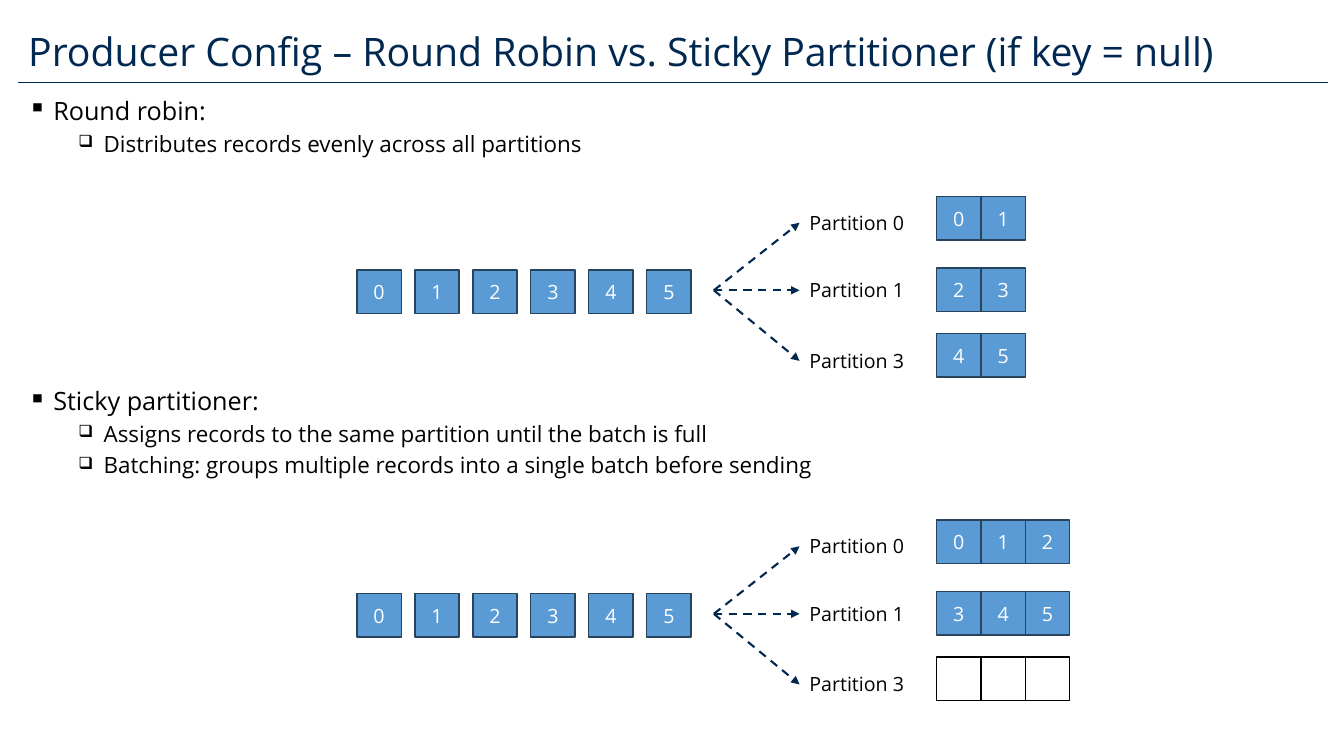
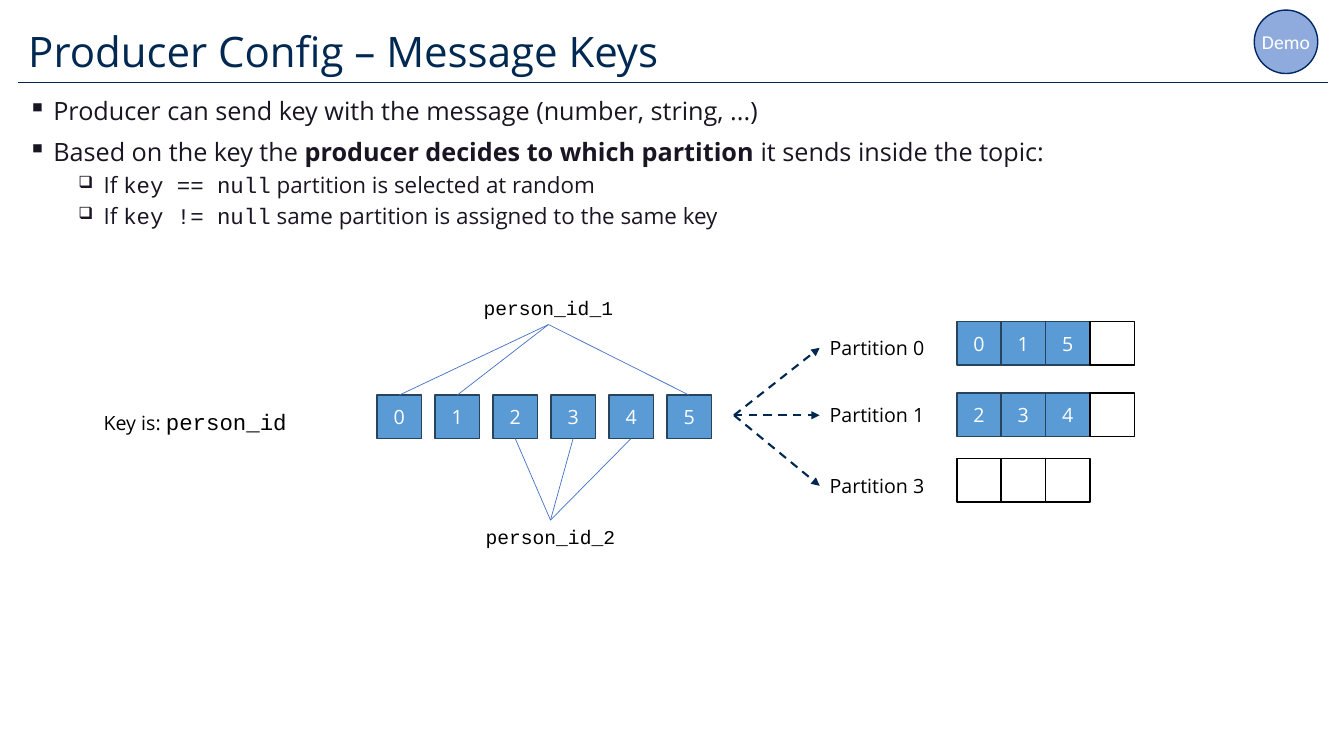
from dataclasses import dataclass

from lxml.etree import SubElement
from pptx import Presentation
from pptx.dml.color import RGBColor
from pptx.enum.dml import MSO_LINE
from pptx.enum.shapes import MSO_CONNECTOR, MSO_SHAPE
from pptx.enum.text import MSO_ANCHOR, MSO_AUTO_SIZE, PP_ALIGN
from pptx.oxml.ns import qn
from pptx.util import Inches, Pt


@dataclass(frozen=True)
class Theme:
    navy: str = "012851"
    black: str = "000000"
    ink: str = "1A1523"
    white: str = "FFFFFF"
    cell: str = "5B9BD5"
    edge: str = "28445D"
    ray: str = "4472C4"
    badge: str = "8FAADC"
    rim: str = "012863"
    sans: str = "Open Sans"
    code: str = "Courier New"
    demo: str = "Calibri"
    small: int = 14
    sub: int = 16
    main: int = 18


T = Theme()
WIDE, HIGH = 13.33, 7.5
LEFT, SPAN = 0.18, 12.99
BOX_W, BOX_H, STEP = 0.44, 0.43, 0.575

# Horizontal and vertical offsets from the point where the arrows fork
QUEUE_X, QUEUE_Y = -3.54, -0.2
LABEL_X, CELL_X = 0.85, 2.21
LANES = [("Partition 0", -0.67, -0.93),
         ("Partition 1", 0, -0.22),
         ("Partition 3", 0.7, 0.43)]
QUEUE = "012345"

# Bullet sign, size in percent, left margin, space before, type size
LEVELS = [("▪", 100, 0.25, 10, T.main), ("❑", 75, 0.75, 5, T.sub)]

# Bullets are (level, runs); in a flow, each string is one lane of cells
SLIDES = [
    {"title": "Producer Config – Round Robin vs. Sticky Partitioner (if key = null)",
     "size": 28, "ink": T.black,
     "texts": [
         (0.93, 0.8, [
             (0, ["Round robin:"]),
             (1, ["Distributes records evenly across all partitions"])]),
         (3.81, 1.1, [
             (0, ["Sticky partitioner:"]),
             (1, ["Assigns records to the same partition until the batch is full"]),
             (1, ["Batching: groups multiple records into a single batch before sending"])])],
     "flows": [(7.08, 2.88, ["01", "23", "45"]),
               (7.08, 6.09, ["012", "345", "   "])]},
    {"title": "Producer Config – Message Keys",
     "size": 30, "ink": T.ink,
     "texts": [
         (0.93, 1.56, [
             (0, ["Producer can send key with the message (number, string, ...)"]),
             (0, ["Based on the key the ",
                  ("producer decides to which partition ", "bold"),
                  "it sends inside the topic:"]),
             (1, ["If ", ("key == null", "code"),
                  " partition is selected at random"]),
             (1, ["If ", ("key != null", "code"),
                  " same partition is assigned to the same key"])])],
     "flows": [(7.28, 4.12, ["015 ", "234 ", "   "])]},
]

# Name, label top, tip of the rays, whether they meet the box bottoms, records
KEYS = [("person_id_1", 2.89, (5.44, 3.22), False, [0, 1, 5]),
        ("person_id_2", 5.16, (5.46, 5.16), True, [2, 3, 4])]


def rgb(code):
    return RGBColor.from_string(code)


def style(font, size, color, name=T.sans):
    font.size, font.name = Pt(size), name
    font.color.rgb = rgb(color)


def line(slide, start, end, color, width, arrow=False):
    link = slide.shapes.add_connector(
        MSO_CONNECTOR.STRAIGHT, *(Inches(v) for v in (*start, *end)))
    link.line.color.rgb = rgb(color)
    link.line.width = Pt(width)
    if arrow:
        link.line.dash_style = MSO_LINE.DASH
        SubElement(link.line._get_or_add_ln(), qn("a:tailEnd"), type="triangle")
    SubElement(link._element.spPr, qn("a:effectLst"))


def block(slide, kind, x, y, w, h, fill, edge, text="", name=T.sans):
    shape = slide.shapes.add_shape(kind, *(Inches(v) for v in (x, y, w, h)))
    shape.shadow.inherit = False
    shape.fill.solid()
    shape.fill.fore_color.rgb = rgb(fill)
    shape.line.color.rgb = rgb(edge)
    shape.line.width = Pt(1)
    if text:
        frame = shape.text_frame
        frame.margin_left = frame.margin_right = 0
        frame.word_wrap = False
        frame.vertical_anchor = MSO_ANCHOR.MIDDLE
        para = frame.paragraphs[0]
        para.text, para.alignment = text, PP_ALIGN.CENTER
        style(para.font, T.small, T.white, name)


def cell(slide, x, y, text):
    fill, edge = (T.cell, T.edge) if text else (T.white, T.black)
    block(slide, MSO_SHAPE.RECTANGLE, x, y, BOX_W, BOX_H, fill, edge, text)


def frame_at(slide, x, y, w, h):
    frame = slide.shapes.add_textbox(*(Inches(v) for v in (x, y, w, h))).text_frame
    frame.word_wrap = True
    return frame


def label(slide, x, y, w, text, name=T.sans, align=PP_ALIGN.LEFT):
    para = frame_at(slide, x, y, w, 0.34).paragraphs[0]
    para.text, para.alignment = text, align
    style(para.font, T.small, T.black, name)
    return para


def head(slide, text, size):
    """Format the title and draw the rule below it."""
    title = slide.shapes.title
    title.left, title.top = Inches(LEFT), Inches(0.24)
    title.width, title.height = Inches(SPAN), Inches(0.58)
    frame = title.text_frame
    frame.auto_size = MSO_AUTO_SIZE.NONE
    frame.vertical_anchor = MSO_ANCHOR.MIDDLE
    para = frame.paragraphs[0]
    para.text, para.alignment, para.line_spacing = text, PP_ALIGN.LEFT, 0.9
    style(para.font, size, T.navy)
    line(slide, (LEFT, 0.82), (LEFT + SPAN, 0.82), T.navy, 0.5)


def bullets(slide, top, high, items, ink):
    frame = frame_at(slide, LEFT, top, SPAN, high)
    for i, (level, runs) in enumerate(items):
        sign, scale, margin, gap, size = LEVELS[level]
        para = frame.add_paragraph() if i else frame.paragraphs[0]
        para.level, para.line_spacing = level, 0.9
        para.space_before = Pt(gap if i else 0)
        props = para._p.get_or_add_pPr()
        props.set("marL", str(Inches(margin)))
        props.set("indent", str(Inches(-0.25)))
        SubElement(props, qn("a:buSzPct"), val=str(scale * 1000))
        SubElement(props, qn("a:buChar"), char=sign)
        style(para.font, size, ink)
        for part in runs:
            text, look = (part, "") if isinstance(part, str) else part
            run = para.add_run()
            run.text = text
            if look == "bold":
                run.font.bold = True
            elif look == "code":
                run.font.name = T.code


def flow(slide, x, y, lanes):
    """Draw the queue, the forking arrows and the partitions around (x, y)."""
    for i, mark in enumerate(QUEUE):
        cell(slide, x + QUEUE_X + i * STEP, y + QUEUE_Y, mark)
    for (name, drop, rise), marks in zip(LANES, lanes):
        line(slide, (x, y), (x + LABEL_X, y + drop), T.navy, 1.5, arrow=True)
        label(slide, x + LABEL_X, y + drop - 0.17, 1.33, name)
        for i, mark in enumerate(marks):
            cell(slide, x + CELL_X + i * BOX_W, y + rise, mark.strip())


def keys(slide, x, y):
    """Tie each key to its records in the queue that feeds the fork (x, y)."""
    for name, top, tip, below, picks in KEYS:
        label(slide, tip[0] - 0.77, top, 1.54, name, T.code, PP_ALIGN.CENTER)
        edge = y + QUEUE_Y + (BOX_H if below else 0)
        for i in picks:
            mid = x + QUEUE_X + i * STEP + BOX_W / 2
            line(slide, (mid, edge), tip, T.ray, 0.5)
    note = label(slide, 0.89, 4, 2.09, "Key is: ", align=PP_ALIGN.CENTER)
    run = note.add_run()
    run.text = "person_id"
    style(run.font, T.sub, T.black, T.code)


def main():
    deck = Presentation()
    deck.slide_width, deck.slide_height = Inches(WIDE), Inches(HIGH)
    for page in SLIDES:
        slide = deck.slides.add_slide(deck.slide_layouts[5])
        head(slide, page["title"], page["size"])
        for text in page["texts"]:
            bullets(slide, *text, page["ink"])
        for part in page["flows"]:
            flow(slide, *part)
    x, y, _ = SLIDES[-1]["flows"][0]
    keys(slide, x, y)
    block(slide, MSO_SHAPE.FLOWCHART_CONNECTOR, 12.44, 0.1, 0.63, 0.63,
          T.badge, T.rim, "Demo", T.demo)
    deck.save("out.pptx")


if __name__ == "__main__":
    main()
